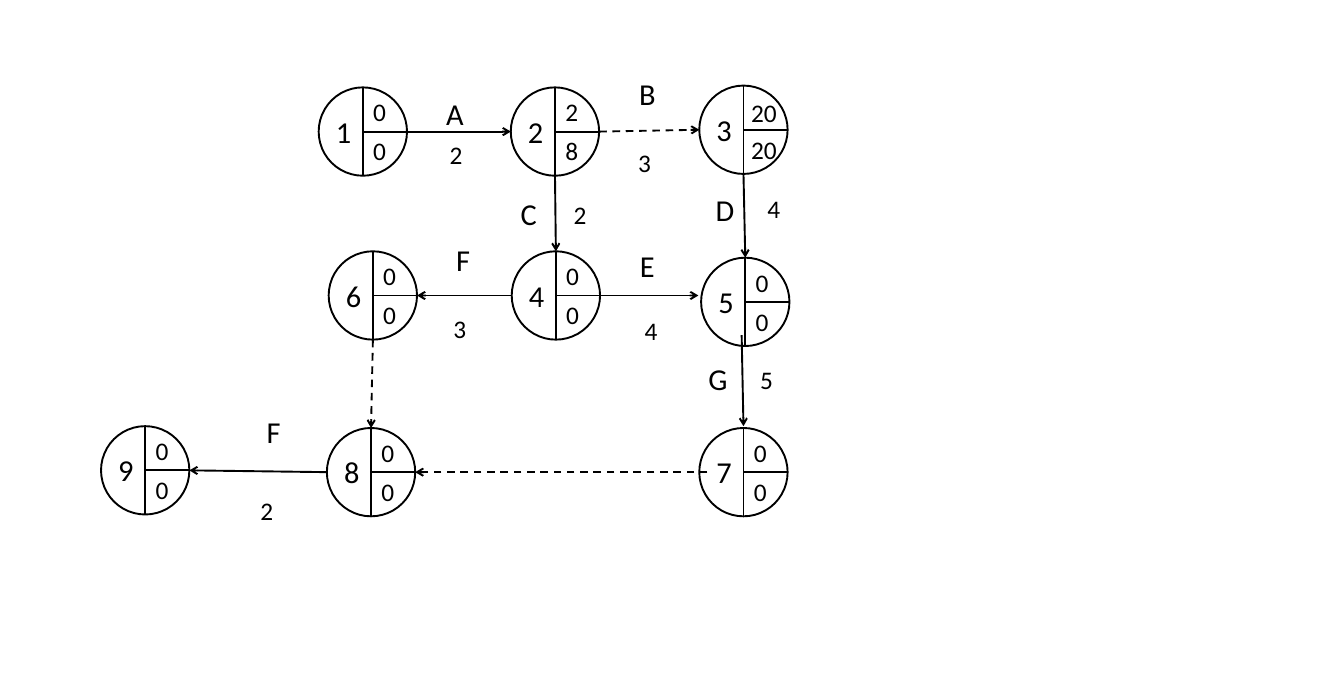
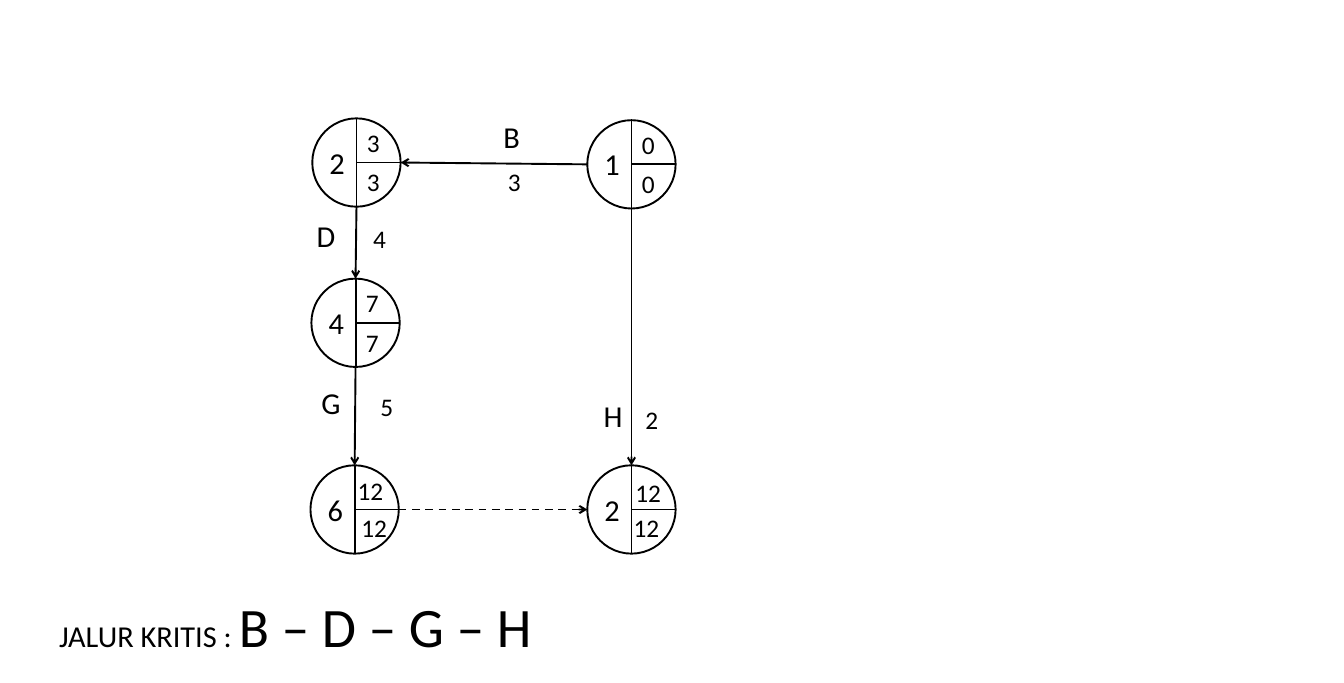
"""Build two slides of event-node network diagrams with a critical path."""
from dataclasses import dataclass

from lxml.etree import SubElement
from pptx import Presentation
from pptx.dml.color import RGBColor
from pptx.enum.dml import MSO_LINE
from pptx.enum.shapes import MSO_CONNECTOR, MSO_SHAPE
from pptx.enum.text import MSO_AUTO_SIZE
from pptx.oxml.ns import qn
from pptx.util import Inches, Pt

COLORS = {"ink": "000000"}
FONT = "Calibri"
NAME_SIZE, TIME_SIZE, PATH_SIZE = 24, 20, 44
LINE_WIDTH = 1.5
DIAMETER = 0.97
RADIUS = DIAMETER / 2
NUMBER_SPOT = (0.09, 0.23)
TIME_SPOTS = ((0.5, 0.05), (0.5, 0.48))


@dataclass
class Event:
    number: str
    left: float
    top: float
    times: tuple = ("0", "0")
    time_spots: tuple = TIME_SPOTS

    @property
    def center(self):
        return self.left + RADIUS, self.top + RADIUS


@dataclass
class Activity:
    start: str
    end: str
    labels: tuple = ()
    dashed: bool = False
    start_shift: tuple = (0, 0)
    end_shift: tuple = (0, 0)


NETWORKS = [
    {
        "events": {
            "1": Event("1", 3.5, 0.96),
            "2": Event("2", 5.61, 0.96, ("2", "8")),
            "3": Event("3", 7.68, 0.94, ("20", "20"), ((0.47, 0.08), (0.47, 0.48))),
            "4": Event("4", 5.62, 2.76),
            "5": Event("5", 7.7, 2.83),
            "6": Event("6", 3.61, 2.76),
            "7": Event("7", 7.68, 4.7),
            "8": Event("8", 3.59, 4.7),
            "9": Event("9", 1.11, 4.68),
        },
        "activities": [
            Activity("1", "2", (("A", 4.8, 1), ("2", 4.84, 1.48))),
            Activity("2", "3", (("B", 6.92, 0.78), ("3", 6.91, 1.57)), dashed=True),
            Activity("2", "4", (("C", 5.62, 2.09), ("2", 6.2, 2.14))),
            Activity("3", "5", (("D", 7.76, 2.05), ("4", 8.33, 2.07))),
            Activity("4", "5", (("E", 6.93, 2.67), ("4", 6.98, 3.41)), end_shift=(-0.03, -0.07)),
            Activity("4", "6", (("F", 4.91, 2.6), ("3", 4.88, 3.39))),
            Activity("5", "7", (("G", 7.68, 3.91), ("5", 8.25, 3.95)),
                     start_shift=(-0.04, -0.12), end_shift=(0, -0.02)),
            Activity("6", "8", dashed=True),
            Activity("7", "8", dashed=True, start_shift=(0.09, 0)),
            Activity("8", "9", (("F", 2.83, 4.49), ("2", 2.76, 5.39))),
        ],
        "critical_path": None,
    },
    {
        "events": {
            "start": Event("1", 6.45, 1.32),
            "2": Event("2", 3.43, 1.3, ("3", "3")),
            "4": Event("4", 3.42, 3.06, ("7", "7")),
            "6": Event("6", 3.41, 5.11, ("12", "12"), ((0.42, 0.06), (0.46, 0.47))),
            "finish": Event("2", 6.45, 5.11, ("12", "12"), ((0.43, 0.08), (0.41, 0.46))),
        },
        "activities": [
            Activity("start", "2", (("B", 5.43, 1.25), ("3", 5.48, 1.78))),
            Activity("2", "4", (("D", 3.38, 2.34), ("4", 4, 2.4))),
            Activity("4", "6", (("G", 3.43, 4.17), ("5", 4.08, 4.25))),
            Activity("6", "finish", dashed=True),
            Activity("start", "finish", (("H", 6.53, 4.31), ("2", 6.99, 4.39))),
        ],
        "critical_path": ("JALUR KRITIS : ", "B – D – G – H"),
    },
]


def ink():
    return RGBColor.from_string(COLORS["ink"])


def format_run(run, size):
    run.font.name = FONT
    run.font.size = Pt(size)
    run.font.color.rgb = ink()


def add_label(shapes, runs, left, top, width, height):
    label = shapes.add_textbox(Inches(left), Inches(top), Inches(width), Inches(height))
    frame = label.text_frame
    frame.word_wrap = True
    frame.auto_size = MSO_AUTO_SIZE.SHAPE_TO_FIT_TEXT
    for text, size in runs:
        run = frame.paragraphs[0].add_run()
        run.text = text
        format_run(run, size)


def add_mark(shapes, text, size, left, top):
    width = 0.31 if len(text) == 1 else 0.56
    height = 0.5 if size == NAME_SIZE else 0.44
    add_label(shapes, [(text, size)], left, top, width, height)


def add_line(shapes, begin, end, dashed=False, arrow=False):
    line = shapes.add_connector(MSO_CONNECTOR.STRAIGHT, *map(Inches, (*begin, *end)))
    line.line.color.rgb = ink()
    line.line.width = Pt(LINE_WIDTH)
    if dashed:
        line.line.dash_style = MSO_LINE.DASH
    properties = line._element.spPr
    if arrow:
        SubElement(properties.find(qn("a:ln")), qn("a:tailEnd"), type="arrow")
    SubElement(properties, qn("a:effectLst"))


def add_event(slide, event):
    shapes = slide.shapes.add_group_shape().shapes
    x, y = event.center
    circle = shapes.add_shape(MSO_SHAPE.OVAL, Inches(event.left), Inches(event.top),
                              Inches(DIAMETER), Inches(DIAMETER))
    circle.shadow.inherit = False
    circle.fill.background()
    circle.line.color.rgb = ink()
    circle.line.width = Pt(LINE_WIDTH)
    add_line(shapes, (x, y - RADIUS), (x, y + RADIUS))
    add_line(shapes, (x + RADIUS, y), (x, y))
    marks = [(event.number, NAME_SIZE, NUMBER_SPOT)]
    marks += [(time, TIME_SIZE, spot) for time, spot in zip(event.times, event.time_spots)]
    for text, size, (dx, dy) in marks:
        add_mark(shapes, text, size, event.left + dx, event.top + dy)


def edge_point(event, other, shift):
    """Return the shifted point where the event's circle faces the other event."""
    (x, y), (other_x, other_y) = event.center, other.center
    if abs(other_x - x) > abs(other_y - y):
        x += RADIUS if other_x > x else -RADIUS
    else:
        y += RADIUS if other_y > y else -RADIUS
    return x + shift[0], y + shift[1]


def add_activity(slide, activity, events):
    start, end = events[activity.start], events[activity.end]
    add_line(slide.shapes, edge_point(start, end, activity.start_shift),
             edge_point(end, start, activity.end_shift), activity.dashed, arrow=True)
    for (text, left, top), size in zip(activity.labels, (NAME_SIZE, TIME_SIZE)):
        add_mark(slide.shapes, text, size, left, top)


def main():
    presentation = Presentation()
    presentation.slide_width, presentation.slide_height = Inches(14.76), Inches(7.5)
    for network in NETWORKS:
        slide = presentation.slides.add_slide(presentation.slide_layouts[6])
        for event in network["events"].values():
            add_event(slide, event)
        for activity in network["activities"]:
            add_activity(slide, activity, network["events"])
        if network["critical_path"]:
            runs = zip(network["critical_path"], (NAME_SIZE, PATH_SIZE))
            add_label(slide.shapes, runs, 0.55, 6.45, 8.37, 0.84)
    presentation.save("out.pptx")


if __name__ == "__main__":
    main()
